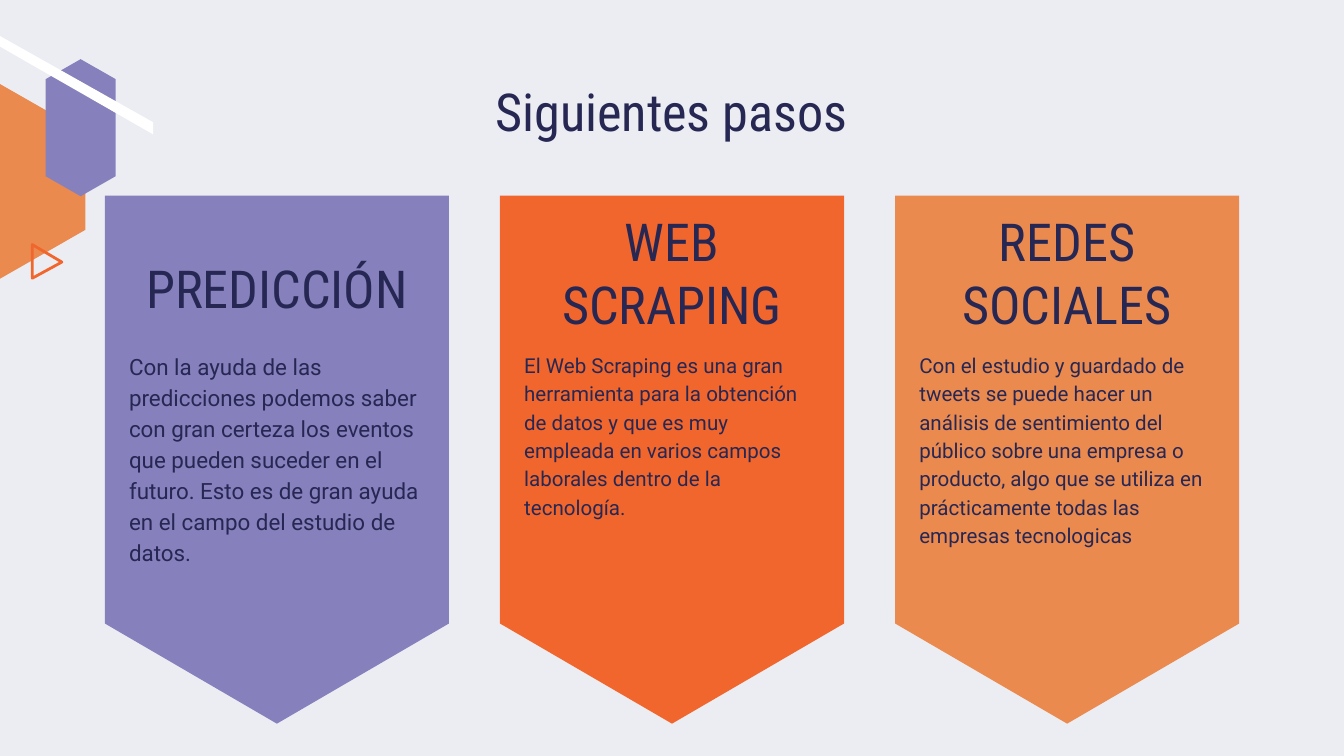
from dataclasses import dataclass

from lxml import etree
from pptx import Presentation
from pptx.dml.color import RGBColor
from pptx.enum import shapes, text
from pptx.oxml import ns
from pptx.util import Inches, Pt

NAVY = RGBColor(0x27, 0x27, 0x53)
VIOLET = RGBColor(0x86, 0x80, 0xBC)
ORANGE = RGBColor(0xF1, 0x66, 0x2D)
APRICOT = RGBColor(0xEA, 0x8A, 0x4F)
WHITE = RGBColor(0xFF, 0xFF, 0xFF)
BACKGROUND = RGBColor(0xEC, 0xED, 0xF3)

HEADING_FONT = "Roboto Condensed"
BODY_FONT = "Roboto"
FIRST_LEFT = 0.86
COLUMN_STEP = 2.94
COLUMN_WIDTH = 2.4
BANNER_LENGTH = 3.93
BANNER_WIDTH = 2.56


@dataclass
class Step:
    heading: str
    heading_top: float
    body: str
    body_size: int
    color: RGBColor


STEPS = [
    Step("PREDICCIÓN", 1.81,
         "Con la ayuda de las predicciones podemos saber con gran certeza los eventos "
         "que pueden suceder en el futuro. Esto es de gran ayuda en el campo del "
         "estudio de datos.", 12, VIOLET),
    Step("WEB SCRAPING", 1.46,
         "El Web Scraping es una gran herramienta para la obtención de datos y que es "
         "muy empleada en varios campos laborales dentro de la tecnología.", 11, ORANGE),
    Step("REDES SOCIALES", 1.46,
         "Con el estudio y guardado de tweets se puede hacer un análisis de sentimiento "
         "del público sobre una empresa o producto, algo que se utiliza en "
         "prácticamente todas las empresas tecnologicas", 11, APRICOT),
]


def place(box, left: float, top: float, width: float, height: float) -> None:
    box.left, box.top = Inches(left), Inches(top)
    box.width, box.height = Inches(width), Inches(height)


def write(box, words: str, font: str, size: int, align):
    frame = box.text_frame
    frame.text = words
    frame.word_wrap = True
    frame.auto_size = text.MSO_AUTO_SIZE.NONE
    frame.vertical_anchor = text.MSO_ANCHOR.TOP
    frame.margin_left = frame.margin_right = Inches(0.1)
    frame.margin_top = frame.margin_bottom = Inches(0.1)
    para = frame.paragraphs[0]
    para.alignment = align
    para.space_before = Pt(0)
    span = para.runs[0]
    span.font.name = font
    span.font.size = Pt(size)
    span.font.bold = False
    span.font.color.rgb = NAVY
    return para


def draw_turned(page, kind, center: tuple[float, float], length: float,
                breadth: float, adjust: float, color: RGBColor) -> None:
    x, y = center
    shape = page.shapes.add_shape(
        kind, Inches(x - length / 2), Inches(y - breadth / 2),
        Inches(length), Inches(breadth))
    shape.rotation = 90
    shape.adjustments[0] = adjust
    shape.shadow.inherit = False
    shape.fill.solid()
    shape.fill.fore_color.rgb = color
    shape.line.fill.background()


def draw_outline(page, points: list[tuple[float, float]]):
    corners = [(Inches(x), Inches(y)) for x, y in points]
    builder = page.shapes.build_freeform(*corners[0], scale=1.0)
    builder.add_line_segments(corners[1:], close=True)
    shape = builder.convert_to_shape()
    shape.shadow.inherit = False
    return shape


def draw_decoration(page) -> None:
    hexagon = shapes.MSO_SHAPE.HEXAGON
    draw_turned(page, hexagon, (-0.01, 1.35), 1.46, 1.29, 0.286, APRICOT)
    triangle = draw_outline(page, [(0.24, 1.82), (0.46, 1.95), (0.24, 2.07)])
    triangle.fill.background()
    triangle.line.color.rgb = ORANGE
    triangle.line.width = Pt(1.5)
    draw_turned(page, hexagon, (0.6, 0.95), 1.02, 0.52, 0.286, VIOLET)
    stripe = draw_outline(page, [(1.14, 0.91), (-0.44, 0.02), (-0.43, 0.1), (1.14, 1)])
    stripe.fill.solid()
    stripe.fill.fore_color.rgb = WHITE
    stripe.line.fill.background()


def draw_step(page, step: Step, left: float, body) -> None:
    center = (left + COLUMN_WIDTH / 2, 3.42)
    draw_turned(page, shapes.MSO_SHAPE.PENTAGON, center, BANNER_LENGTH,
                BANNER_WIDTH, 0.291, step.color)
    heading = page.shapes.add_textbox(0, 0, 0, 0)
    place(heading, left, step.heading_top, COLUMN_WIDTH, 0.35)
    write(heading, step.heading, HEADING_FONT, 28, text.PP_ALIGN.CENTER)

    place(body, left, 2.5, COLUMN_WIDTH, 2.26)
    para = write(body, step.body, BODY_FONT, step.body_size, text.PP_ALIGN.LEFT)
    para.line_spacing = 1.15
    para.space_after = Pt(16)
    properties = para._p.get_or_add_pPr()
    properties.set("marL", "0")
    properties.set("indent", "0")
    etree.SubElement(properties, ns.qn("a:buNone"))
    body.element.getparent().append(body.element)


def main() -> None:
    deck = Presentation()
    deck.slide_width = Inches(10)
    deck.slide_height = Inches(10 * 9 / 16)
    page = deck.slides.add_slide(deck.slide_layouts.get_by_name("Comparison"))
    page.background.fill.solid()
    page.background.fill.fore_color.rgb = BACKGROUND

    draw_decoration(page)
    title, *bodies, spare = list(page.placeholders)
    spare.element.getparent().remove(spare.element)
    place(title, 1.27, 0.49, 7.45, 0.63)
    write(title, "Siguientes pasos", HEADING_FONT, 28, text.PP_ALIGN.CENTER)
    for index, (step, body) in enumerate(zip(STEPS, bodies)):
        draw_step(page, step, FIRST_LEFT + index * COLUMN_STEP, body)
    deck.save("out.pptx")


if __name__ == "__main__":
    main()
